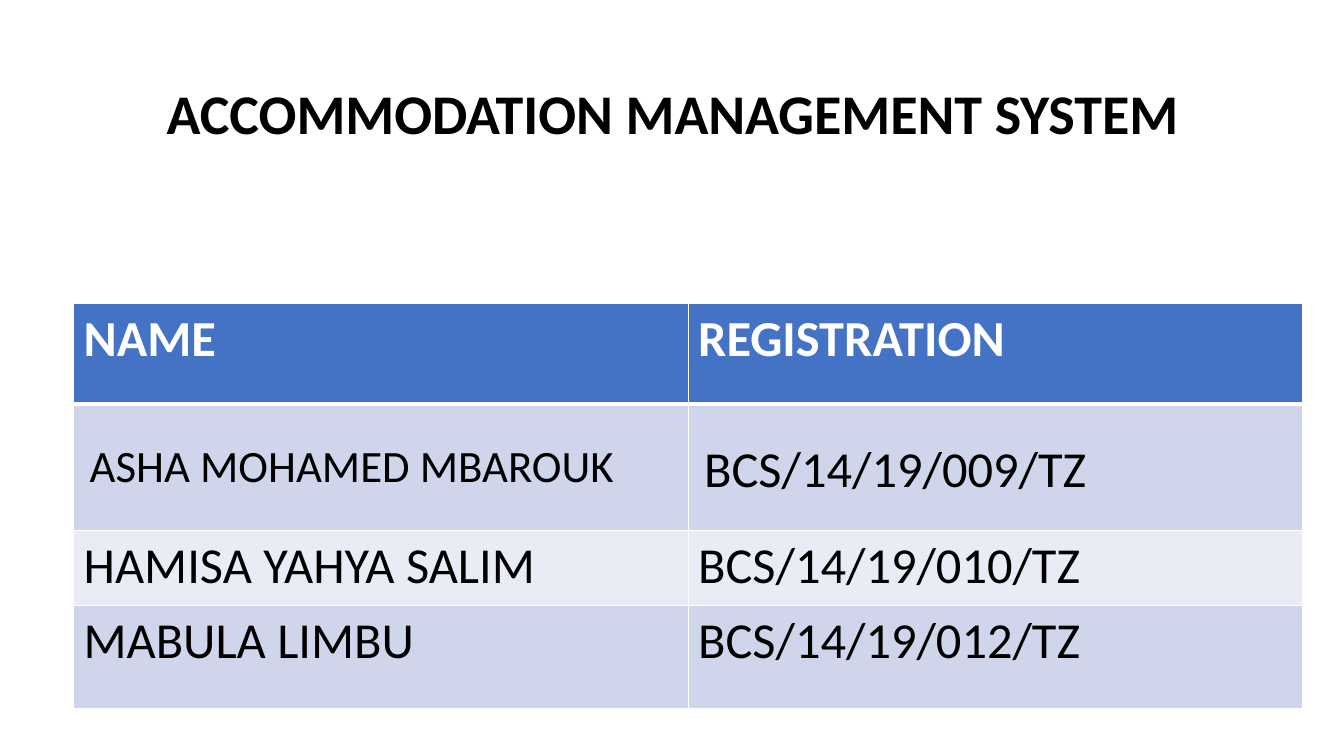
import dataclasses

import lxml.etree
import pptx
import pptx.dml.color
import pptx.enum.text
import pptx.oxml.ns
import pptx.util

Inches = pptx.util.Inches
Pt = pptx.util.Pt


@dataclasses.dataclass(frozen=True)
class Theme:
    font: str = "Calibri"
    ink: str = "000000"
    paper: str = "FFFFFF"
    header: str = "4472C4"
    bands: tuple = ("CFD5EA", "E9EBF5")
    title_size: int = 40
    table_size: int = 36
    small_size: int = 32
    thin: int = 1
    thick: int = 3


class SlideBuilder:
    def __init__(self, slide, theme):
        self.slide = slide
        self.theme = theme

    def set_text(self, frame, text, size, color, bold=False):
        para = frame.paragraphs[0]
        para.text = text
        para.font.name = self.theme.font
        para.font.size = Pt(size)
        para.font.bold = bold
        para.font.color.rgb = pptx.dml.color.RGBColor.from_string(color)
        return para

    def title(self, text, left, top, width, height):
        box = self.slide.shapes.add_textbox(
            Inches(left), Inches(top), Inches(width), Inches(height))
        frame = box.text_frame
        frame.word_wrap = True
        frame.vertical_anchor = pptx.enum.text.MSO_ANCHOR.BOTTOM
        frame.margin_bottom = Inches(0.7)
        para = self.set_text(frame, text, self.theme.title_size, self.theme.ink, True)
        para.alignment = pptx.enum.text.PP_ALIGN.CENTER
        para.line_spacing = 0.9

    def borders(self, cell, top, bottom):
        """Draw the four cell borders; top and bottom are widths in points."""
        thin = self.theme.thin
        sides = {"lnL": thin, "lnR": thin, "lnT": top, "lnB": bottom}
        qn = pptx.oxml.ns.qn
        properties = cell._tc.get_or_add_tcPr()
        for position, (side, width) in enumerate(sides.items()):
            line = lxml.etree.Element(qn(f"a:{side}"), w=str(Pt(width)))
            fill = lxml.etree.SubElement(line, qn("a:solidFill"))
            lxml.etree.SubElement(fill, qn("a:srgbClr"), val=self.theme.paper)
            properties.insert(position, line)

    def table(self, rows, heights, left, top, width):
        theme = self.theme
        columns = len(rows[0])
        table = self.slide.shapes.add_table(
            len(rows), columns, Inches(left), Inches(top),
            Inches(width), Inches(sum(heights))).table
        for column in table.columns:
            column.width = Inches(width / columns)
        for row_index, (texts, height) in enumerate(zip(rows, heights)):
            table.rows[row_index].height = Inches(height)
            is_header = row_index == 0
            background = theme.header if is_header else theme.bands[(row_index - 1) % 2]
            color = theme.paper if is_header else theme.ink
            for column_index, text in enumerate(texts):
                cell = table.cell(row_index, column_index)
                cell.fill.solid()
                cell.fill.fore_color.rgb = pptx.dml.color.RGBColor.from_string(background)
                self.set_text(cell.text_frame, text, theme.table_size, color, is_header)
                self.borders(cell,
                             theme.thick if row_index == 1 else theme.thin,
                             theme.thick if is_header else theme.thin)
        return table


def main():
    deck = pptx.Presentation()
    deck.slide_width = Inches(13.33)
    deck.slide_height = Inches(7.5)
    theme = Theme()
    page = SlideBuilder(deck.slides.add_slide(deck.slide_layouts[6]), theme)

    page.title("ACCOMMODATION MANAGEMENT SYSTEM", 0.98, 0.33, 11.38, 1.82)
    members = page.table(
        [("NAME", "REGISTRATION"),
         ("ASHA MOHAMED MBAROUK", "BCS/14/19/009/TZ"),
         ("HAMISA YAHYA SALIM", "BCS/14/19/010/TZ"),
         ("MABULA LIMBU", "BCS/14/19/012/TZ")],
        heights=(1, 1.25, 0.75, 1.02), left=0.73, top=3.01, width=12.19)
    for cell in members.rows[1].cells:
        cell.margin_left = Inches(0.16)
        cell.margin_top = Inches(0.35)
    members.cell(1, 0).text_frame.paragraphs[0].font.size = Pt(theme.small_size)

    deck.save("out.pptx")


if __name__ == "__main__":
    main()
